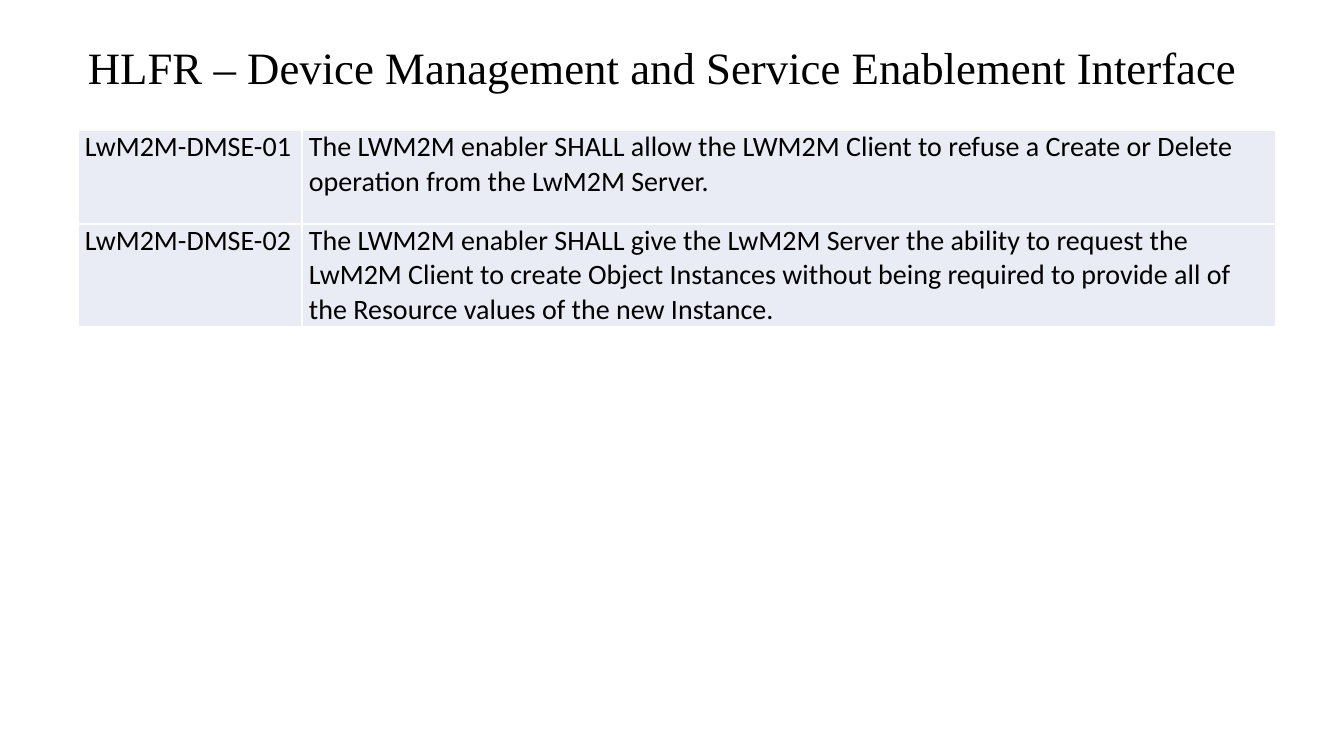
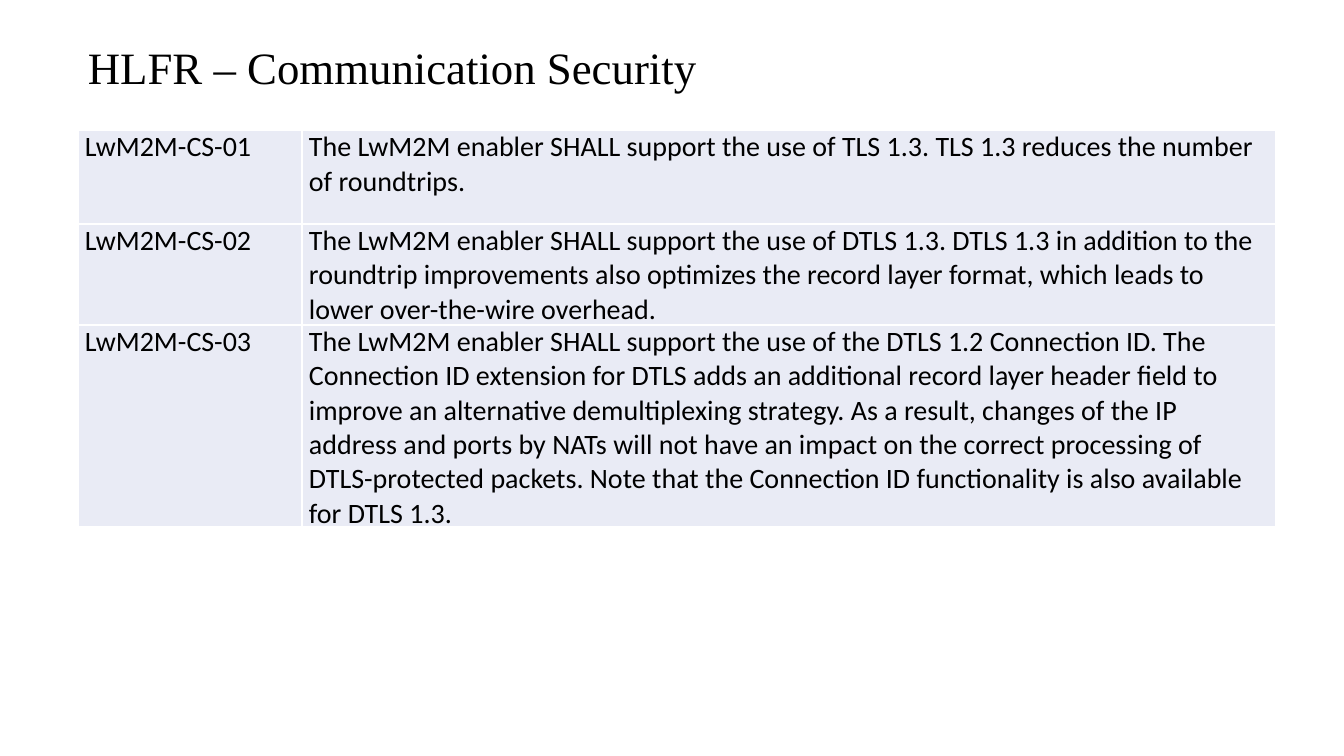
from lxml.etree import SubElement
from pptx import Presentation
from pptx.dml.color import RGBColor
from pptx.enum.text import MSO_AUTO_SIZE
from pptx.oxml.ns import qn
from pptx.util import Emu, Pt

SCALE = 914400 / 100.8
SLIDE_SIZE = (1344, 756)
BLACK, WHITE, CELL_FILL = "000000", "FFFFFF", "E9EBF5"
TITLE_FONT, BODY_FONT = "Times New Roman", "Calibri"
TITLE_BOX = (78, 35, 1197, 64)
TABLE_LEFT, TABLE_TOP = 78, 130
COLUMN_WIDTHS = (224, 974)
ROW_HEIGHTS = (94, 101, 201)
CELL_MARGIN = 7


def px(length):
    return Emu(round(length * SCALE))


def color(hex_value):
    return RGBColor.from_string(hex_value)


def write_text(frame, text, font=BODY_FONT, size=20, text_color=BLACK, spacing=0):
    frame.word_wrap = True
    paragraph = frame.paragraphs[0]
    paragraph.space_before = paragraph.space_after = Pt(spacing)
    run = paragraph.add_run()
    run.text = text
    run.font.name = font
    run.font.size = Pt(size)
    run.font.color.rgb = color(text_color)


def add_title(slide, text, box):
    shape = slide.shapes.add_textbox(*map(px, box))
    write_text(shape.text_frame, text, font=TITLE_FONT, size=32)
    shape.text_frame.auto_size = MSO_AUTO_SIZE.SHAPE_TO_FIT_TEXT


def style_cell(cell):
    cell.margin_left = cell.margin_right = px(CELL_MARGIN)
    cell.margin_top = cell.margin_bottom = 0
    # Borders must precede the fill in the cell properties
    properties = cell._tc.get_or_add_tcPr()
    for side in ("lnL", "lnR", "lnT", "lnB"):
        line = SubElement(properties, qn(f"a:{side}"), w=str(Pt(1)))
        fill = SubElement(line, qn("a:solidFill"))
        SubElement(fill, qn("a:srgbClr"), val=WHITE)
    cell.fill.solid()
    cell.fill.fore_color.rgb = color(CELL_FILL)


def add_requirements(slide, requirements, left, top, spacing):
    heights = ROW_HEIGHTS[:len(requirements)]
    box = (left, top, sum(COLUMN_WIDTHS), sum(heights))
    table = slide.shapes.add_table(len(heights), len(COLUMN_WIDTHS), *map(px, box)).table
    table.first_row = table.horz_banding = False
    for column, width in zip(table.columns, COLUMN_WIDTHS):
        column.width = px(width)
    for row, height, (identifier, statement) in zip(table.rows, heights, requirements):
        row.height = px(height)
        for cell in row.cells:
            style_cell(cell)
        write_text(row.cells[0].text_frame, identifier)
        write_text(row.cells[1].text_frame, statement, spacing=spacing)


def add_requirement_slide(presentation, title, requirements, spacing=0):
    slide = presentation.slides.add_slide(presentation.slide_layouts[6])
    add_requirements(slide, requirements, TABLE_LEFT, TABLE_TOP, spacing)
    add_title(slide, title, TITLE_BOX)


presentation = Presentation()
presentation.slide_width, presentation.slide_height = map(px, SLIDE_SIZE)

# Device management
add_requirement_slide(
    presentation,
    "HLFR – Device Management and Service Enablement Interface",
    [
        ("LwM2M-DMSE-01",
         "The LWM2M enabler SHALL allow the LWM2M Client to refuse a Create or Delete "
         "operation from the LwM2M Server."),
        ("LwM2M-DMSE-02",
         "The LWM2M enabler SHALL give the LwM2M Server the ability to request the "
         "LwM2M Client to create Object Instances without being required to provide all "
         "of the Resource values of the new Instance."),
    ],
    spacing=1,
)

# Communication security
add_requirement_slide(
    presentation,
    "HLFR – Communication Security",
    [
        ("LwM2M-CS-01",
         "The LwM2M enabler SHALL support the use of TLS 1.3. TLS 1.3 reduces the number "
         "of roundtrips."),
        ("LwM2M-CS-02",
         "The LwM2M enabler SHALL support the use of DTLS 1.3. DTLS 1.3 in addition to "
         "the roundtrip improvements also optimizes the record layer format, which leads "
         "to lower over-the-wire overhead."),
        ("LwM2M-CS-03",
         "The LwM2M enabler SHALL support the use of the DTLS 1.2 Connection ID. The "
         "Connection ID extension for DTLS adds an additional record layer header field "
         "to improve an alternative demultiplexing strategy. As a result, changes of the "
         "IP address and ports by NATs will not have an impact on the correct processing "
         "of DTLS-protected packets. Note that the Connection ID functionality is also "
         "available for DTLS 1.3."),
    ],
)

presentation.save("out.pptx")
